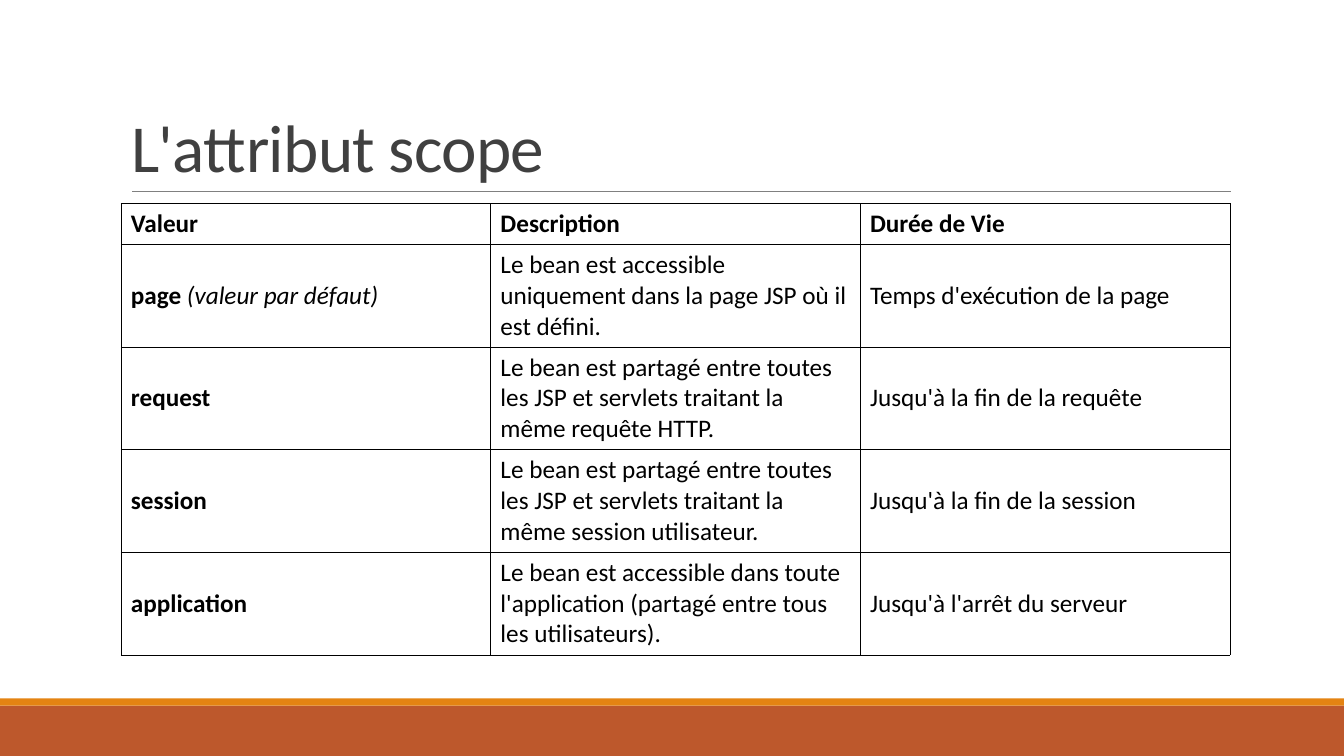
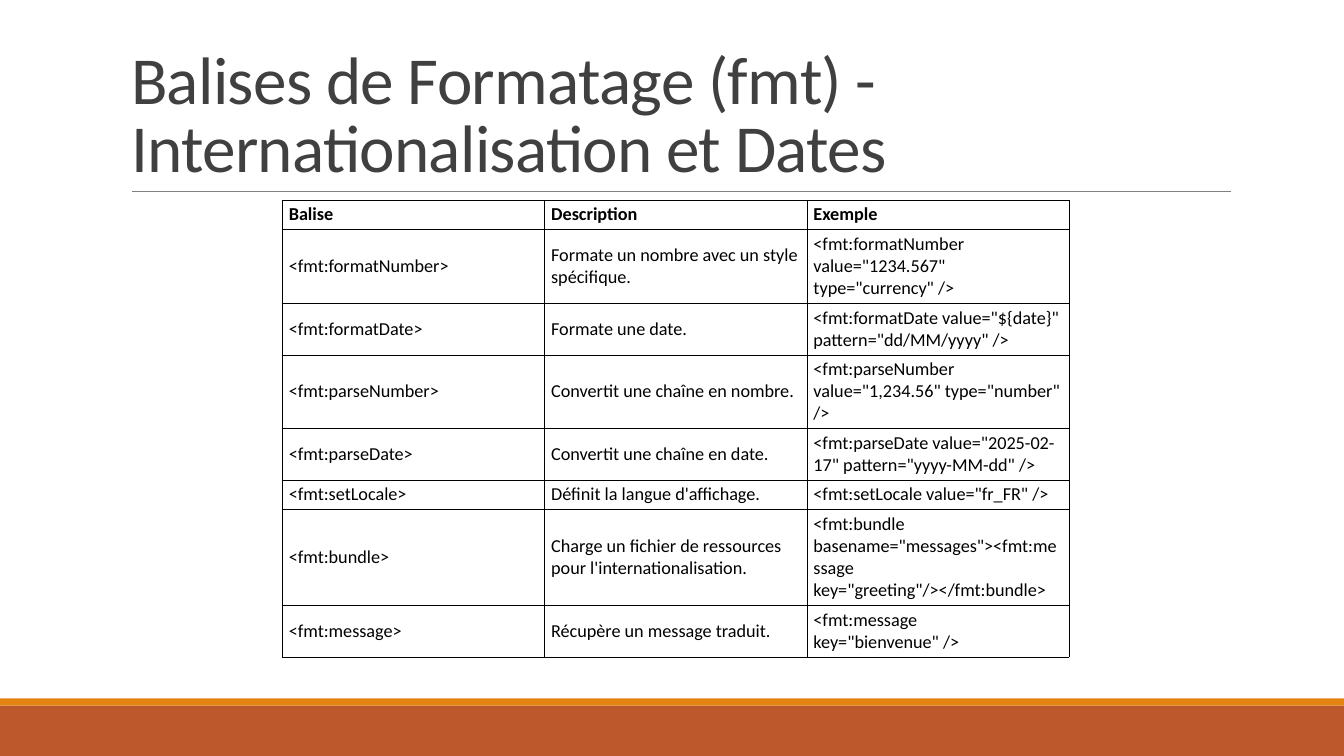
from dataclasses import dataclass

from lxml import etree
from pptx import Presentation
from pptx.dml.color import RGBColor
from pptx.enum.shapes import MSO_CONNECTOR, MSO_SHAPE
from pptx.enum.text import MSO_ANCHOR, MSO_AUTO_SIZE, PP_ALIGN
from pptx.oxml.ns import qn
from pptx.util import Cm, Pt

RECTANGLE = MSO_SHAPE.RECTANGLE
STRAIGHT = MSO_CONNECTOR.STRAIGHT
LEFT = PP_ALIGN.LEFT
BOTTOM, MIDDLE = MSO_ANCHOR.BOTTOM, MSO_ANCHOR.MIDDLE
NO_AUTOFIT = MSO_AUTO_SIZE.NONE
TITLE_ONLY = 5
COLUMN_COUNT = 3
LINE_PITCH = 0.043  # cm of line height per point of type


@dataclass(frozen=True)
class Theme:
    font: str = "Calibri"
    title_color: str = "404040"
    text_color: str = "000000"
    rule_color: str = "808080"
    border_color: str = "000000"
    footer_color: str = "BD582C"
    accent_color: str = "E48312"
    title_size: int = 48
    large_size: int = 18
    small_size: int = 13
    rule_width: float = 0.5
    border_width: float = 0.25


THEME = Theme()


def add_text(paragraph, text, *, size, color, bold=False, italic=False, spacing=None):
    """Append a formatted run; spacing is in points."""
    run = paragraph.add_run()
    run.text = text
    font = run.font
    font.name, font.size = THEME.font, Pt(size)
    font.bold, font.italic = bold, italic
    font.color.rgb = RGBColor.from_string(color)
    if spacing is not None:
        run._r.get_or_add_rPr().set("spc", str(round(spacing * 100)))


class Deck:
    def __init__(self, theme):
        self.theme = theme
        self.presentation = Presentation()
        self.presentation.slide_width = Cm(33.87)
        self.presentation.slide_height = Cm(19.05)
        self.slide = None

    def new_slide(self, title):
        layout = self.presentation.slide_layouts[TITLE_ONLY]
        self.slide = self.presentation.slides.add_slide(layout)
        # Shared footer bands and title rule
        self.band(17.78, 1.27, self.theme.footer_color)
        self.band(17.6, 0.18, self.theme.accent_color)
        self.rule(3.33, 31.01, 4.83)
        self.title(title)

    def band(self, top, height, color):
        band = self.slide.shapes.add_shape(
            RECTANGLE, 0, Cm(top), self.presentation.slide_width, Cm(height))
        band.shadow.inherit = False
        band.fill.solid()
        band.fill.fore_color.rgb = RGBColor.from_string(color)
        band.line.fill.background()

    def rule(self, start, end, top):
        rule = self.slide.shapes.add_connector(
            STRAIGHT, Cm(start), Cm(top), Cm(end), Cm(top))
        rule.line.color.rgb = RGBColor.from_string(self.theme.rule_color)
        rule.line.width = Pt(self.theme.rule_width)
        etree.SubElement(rule._element.spPr, qn("a:effectLst"))

    def title(self, text):
        title = self.slide.shapes.title
        title.left, title.top = Cm(3.05), Cm(0.79)
        title.width, title.height = Cm(27.94), Cm(4.04)
        frame = title.text_frame
        frame.word_wrap = True
        frame.auto_size = NO_AUTOFIT
        frame.vertical_anchor = BOTTOM
        paragraph = frame.paragraphs[0]
        paragraph.alignment = LEFT
        paragraph.line_spacing = 0.85
        add_text(paragraph, text, size=self.theme.title_size,
                 color=self.theme.title_color, spacing=-0.5)

    def table(self, rows, line_counts, *, left, top, width, size, insets,
              bold_keys=False):
        """Draw a grid; a tuple cell holds a term and its italic note."""
        side, edge = insets
        heights = [Cm(2 * edge + count * size * LINE_PITCH) for count in line_counts]
        table = self.slide.shapes.add_table(
            len(rows), COLUMN_COUNT, Cm(left), Cm(top), Cm(width), sum(heights)).table
        table.first_row = table.horz_banding = False
        for column in table.columns:
            column.width = Cm(width / COLUMN_COUNT)
        for r, (values, height) in enumerate(zip(rows, heights)):
            table.rows[r].height = height
            for c, value in enumerate(values):
                cell = table.cell(r, c)
                cell.margin_left = cell.margin_right = Cm(side)
                cell.margin_top = cell.margin_bottom = Cm(edge)
                cell.vertical_anchor = MIDDLE
                self.borders(cell)
                cell.fill.background()
                term, note = value if isinstance(value, tuple) else (value, "")
                paragraph = cell.text_frame.paragraphs[0]
                style = {"size": size, "color": self.theme.text_color}
                add_text(paragraph, term, bold=r == 0 or (bold_keys and c == 0), **style)
                if note:
                    add_text(paragraph, note, italic=True, **style)

    def borders(self, cell):
        properties = cell._tc.get_or_add_tcPr()
        for side in ("a:lnL", "a:lnR", "a:lnT", "a:lnB"):
            line = etree.SubElement(properties, qn(side),
                                    w=str(Pt(self.theme.border_width)))
            fill = etree.SubElement(line, qn("a:solidFill"))
            etree.SubElement(fill, qn("a:srgbClr"), val=self.theme.border_color)


SCOPES = [
    ("Valeur", "Description", "Durée de Vie"),
    (("page ", "(valeur par défaut)"),
     "Le bean est accessible uniquement dans la page JSP où il est défini.",
     "Temps d'exécution de la page"),
    ("request",
     "Le bean est partagé entre toutes les JSP et servlets traitant la même requête HTTP.",
     "Jusqu'à la fin de la requête"),
    ("session",
     "Le bean est partagé entre toutes les JSP et servlets traitant la même session utilisateur.",
     "Jusqu'à la fin de la session"),
    ("application",
     "Le bean est accessible dans toute l'application (partagé entre tous les utilisateurs).",
     "Jusqu'à l'arrêt du serveur"),
]

FORMAT_TAGS = [
    ("Balise", "Description", "Exemple"),
    ("<fmt:formatNumber>", "Formate un nombre avec un style spécifique.",
     '<fmt:formatNumber value="1234.567" type="currency" />'),
    ("<fmt:formatDate>", "Formate une date.",
     '<fmt:formatDate value="${date}" pattern="dd/MM/yyyy" />'),
    ("<fmt:parseNumber>", "Convertit une chaîne en nombre.",
     '<fmt:parseNumber value="1,234.56" type="number" />'),
    ("<fmt:parseDate>", "Convertit une chaîne en date.",
     '<fmt:parseDate value="2025-02-17" pattern="yyyy-MM-dd" />'),
    ("<fmt:setLocale>", "Définit la langue d'affichage.",
     '<fmt:setLocale value="fr_FR" />'),
    ("<fmt:bundle>", "Charge un fichier de ressources pour l'internationalisation.",
     '<fmt:bundle basename="messages"><fmt:message key="greeting"/></fmt:bundle>'),
    ("<fmt:message>", "Récupère un message traduit.",
     '<fmt:message key="bienvenue" />'),
]


def main():
    deck = Deck(THEME)

    # Bean scopes
    deck.new_slide("L'attribut scope")
    deck.table(SCOPES, [1, 3, 3, 3, 3], left=3.05, top=5.12, width=27.94,
               size=THEME.large_size, insets=(0.25, 0.13), bold_keys=True)

    # Formatting tags
    deck.new_slide("Balises de Formatage (fmt) - Internationalisation et Dates")
    deck.table(FORMAT_TAGS, [1, 3, 2, 3, 2, 1, 4, 2], left=7.11, top=5.04, width=19.83,
               size=THEME.small_size, insets=(0.17, 0.09))

    deck.presentation.save("out.pptx")


if __name__ == "__main__":
    main()
